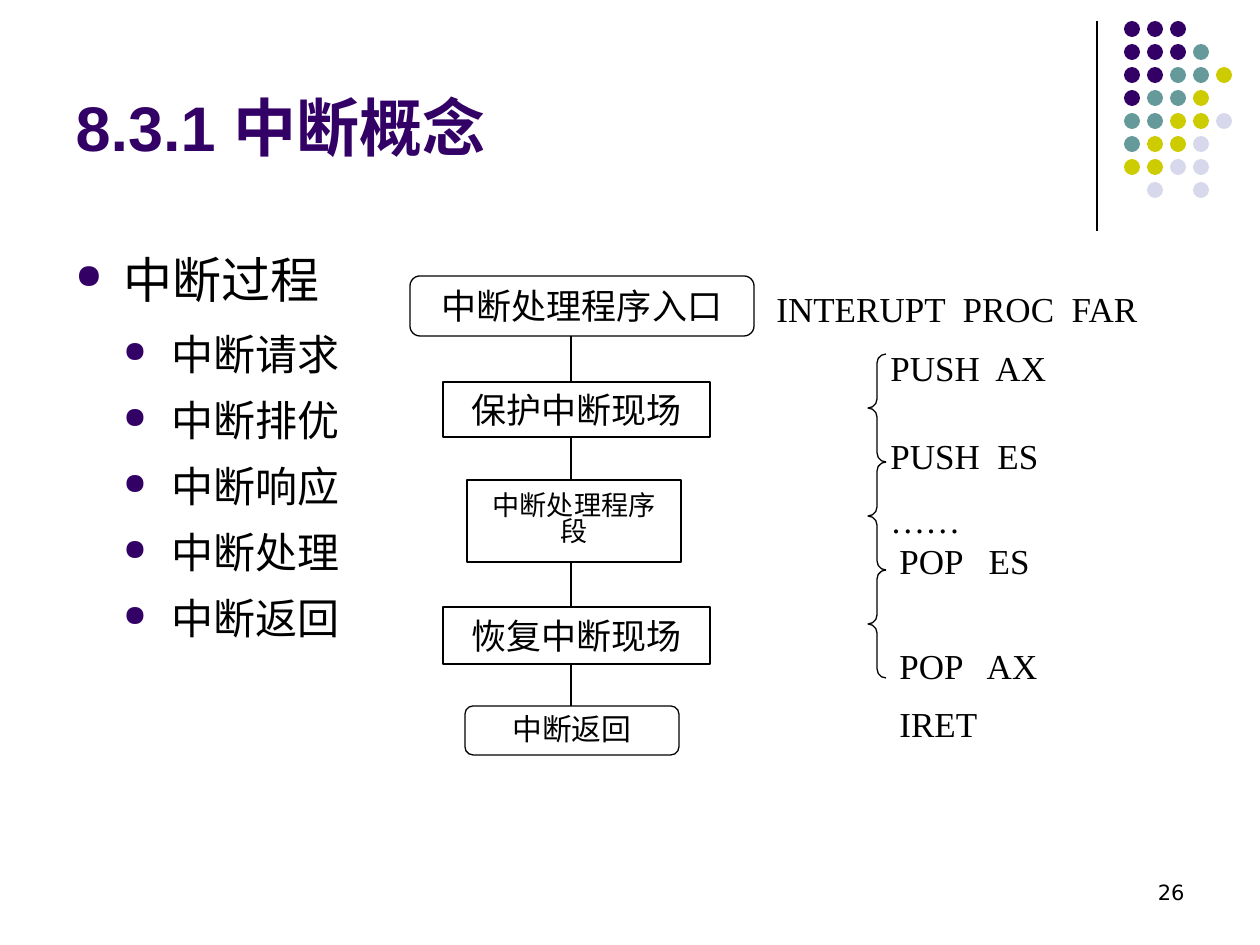
from lxml import etree
from pptx import Presentation
from pptx.dml.color import RGBColor
from pptx.enum.shapes import MSO_CONNECTOR, MSO_SHAPE
from pptx.enum.text import MSO_ANCHOR, PP_ALIGN
from pptx.oxml.ns import qn
from pptx.util import Pt

LEFT, CENTER, RIGHT = PP_ALIGN.LEFT, PP_ALIGN.CENTER, PP_ALIGN.RIGHT
TOP, MIDDLE = MSO_ANCHOR.TOP, MSO_ANCHOR.MIDDLE
RECT, OVAL, BRACE = MSO_SHAPE.RECTANGLE, MSO_SHAPE.OVAL, MSO_SHAPE.LEFT_BRACE
ROUNDED = MSO_SHAPE.FLOWCHART_ALTERNATE_PROCESS
STRAIGHT = MSO_CONNECTOR.STRAIGHT

PURPLE = RGBColor(0x33, 0x00, 0x66)
TEAL = RGBColor(0x66, 0x99, 0x99)
OLIVE = RGBColor(0xCC, 0xCC, 0x00)
LILAC = RGBColor(0xD8, 0xD8, 0xEC)
BLACK = RGBColor(0, 0, 0)
WHITE = RGBColor(255, 255, 255)

SERIF = "Times New Roman"
TITLE = "8.3.1 中断概念"
PAGE = "26"

# text, level, size, line spacing
BULLETS = [
    ("中断过程", 0, 28, 1.1),
    ("中断请求", 1, 24, 1.2),
    ("中断排优", 1, 24, 1.1),
    ("中断响应", 1, 24, 1.1),
    ("中断处理", 1, 24, 1.1),
    ("中断返回", 1, 24, 1.1),
]
STEPS = [
    ("中断处理程序入口", ROUNDED, (410, 276, 344, 60), 20, 1.0),
    ("保护中断现场", RECT, (443, 382, 267, 55), 20, 1.0),
    ("中断处理程序段", RECT, (467, 480, 214, 82), 15.5, 0.8),
    ("恢复中断现场", RECT, (443, 607, 267, 57), 20, 1.0),
    ("中断返回", ROUNDED, (465, 706, 214, 49), 17, 0.9),
]
# text, indent in px, space before in pt
CODE = [
    ("INTERUPT  PROC  FAR", 26, 0),
    ("PUSH  AX", 140, 10.5),
    ("PUSH  ES", 140, 27.5),
    ("……", 140, 13.5),
    ("POP   ES", 149, 0.5),
    ("POP   AX", 149, 37),
    ("IRET", 149, 10.5),
]
DOT_COLORS = {"P": PURPLE, "T": TEAL, "O": OLIVE, "L": LILAC}
DOTS = ["PPP", "PPPT", "PPTTO", "PTTO", "TTOOL", "TOOL", "OOLL", " L L"]
DOT_X, DOT_Y, DOT_PITCH, DOT_SIZE = 1124, 21, 23, 16
BRACE_X, BRACE_Y, BRACE_W, BRACE_H, BRACE_COUNT = 868, 354, 18, 108, 3
FLOW_X = 571


def px(n):
    return round(n * 914400 / 126)


def box(at):
    return [px(n) for n in at]


def add_run(p, text, size, color=BLACK, font=SERIF, bold=False):
    r = p.add_run()
    r.text = text
    r.font.size, r.font.name, r.font.bold = Pt(size), font, bold
    r.font.color.rgb = color


def set_frame(tf, anchor):
    tf.word_wrap = True
    tf.vertical_anchor = anchor


def add_text(s, at, anchor):
    tf = s.shapes.add_textbox(*box(at)).text_frame
    set_frame(tf, anchor)
    return tf


def paragraphs(tf, items):
    for i, item in enumerate(items):
        yield i, tf.paragraphs[0] if i == 0 else tf.add_paragraph(), item


def set_indent(p, left, first=0):
    pPr = p._p.get_or_add_pPr()
    pPr.set("marL", str(px(left)))
    pPr.set("indent", str(px(first)))
    return pPr


def add_bullet(p, level):
    pPr = set_indent(p, 48 * (level + 1), -48)
    color = etree.SubElement(pPr, qn("a:buClr"))
    etree.SubElement(color, qn("a:srgbClr")).set("val", str(PURPLE))
    etree.SubElement(pPr, qn("a:buSzPct")).set("val", "70000")
    etree.SubElement(pPr, qn("a:buChar")).set("char", "●")


def add_shape(s, kind, at, fill=None, outlined=True):
    sp = s.shapes.add_shape(kind, *box(at))
    sp.shadow.inherit = False
    if fill is None:
        sp.fill.background()
    else:
        sp.fill.solid()
        sp.fill.fore_color.rgb = fill
    if outlined:
        sp.line.color.rgb, sp.line.width = BLACK, Pt(0.75)
    else:
        sp.line.fill.background()
    return sp


def add_line(s, x, top, bottom):
    line = s.shapes.add_connector(STRAIGHT, px(x), px(top), px(x), px(bottom))
    line.line.color.rgb, line.line.width = BLACK, Pt(0.75)
    etree.SubElement(line._element.spPr, qn("a:effectLst"))


def main():
    prs = Presentation()
    prs.slide_width, prs.slide_height = px(1260), px(945)
    s = prs.slides.add_slide(prs.slide_layouts[5])

    title = s.shapes.title
    title.left, title.top, title.width, title.height = box((63, 37, 1040, 179))
    set_frame(title.text_frame, MIDDLE)
    p = title.text_frame.paragraphs[0]
    p.alignment = LEFT
    add_run(p, TITLE, 36, PURPLE, "Arial", True)

    add_line(s, 1097, 21, 231)
    for row, marks in enumerate(DOTS):
        for col, mark in enumerate(marks):
            if mark in DOT_COLORS:
                at = (DOT_X + col * DOT_PITCH, DOT_Y + row * DOT_PITCH, DOT_SIZE, DOT_SIZE)
                add_shape(s, OVAL, at, DOT_COLORS[mark], outlined=False)

    tf = add_text(s, (63, 237, 1134, 607), TOP)
    for i, p, (text, level, size, spacing) in paragraphs(tf, BULLETS):
        p.level = level
        add_bullet(p, level)
        p.line_spacing = spacing
        if i:
            p.space_before = Pt(6)
        add_run(p, text, size)

    for text, kind, at, size, spacing in STEPS:
        tf = add_shape(s, kind, at, WHITE).text_frame
        set_frame(tf, MIDDLE)
        p = tf.paragraphs[0]
        p.alignment, p.line_spacing = CENTER, spacing
        add_run(p, text, size)
    for upper, lower in zip(STEPS, STEPS[1:]):
        add_line(s, FLOW_X, upper[2][1] + upper[2][3], lower[2][1])

    tf = add_text(s, (738, 283, 449, 473), TOP)
    for i, p, (text, indent, before) in paragraphs(tf, CODE):
        set_indent(p, indent)
        p.line_spacing = Pt(23)
        if i:
            p.space_before = Pt(before)
        add_run(p, text, 20)
    for i in range(BRACE_COUNT):
        brace = add_shape(s, BRACE, (BRACE_X, BRACE_Y + i * BRACE_H, BRACE_W, BRACE_H))
        brace.adjustments[0] = 0.5

    p = add_text(s, (903, 861, 294, 63), MIDDLE).paragraphs[0]
    p.alignment = RIGHT
    add_run(p, PAGE, 12, font="DejaVu Sans")

    prs.save("out.pptx")


if __name__ == "__main__":
    main()
